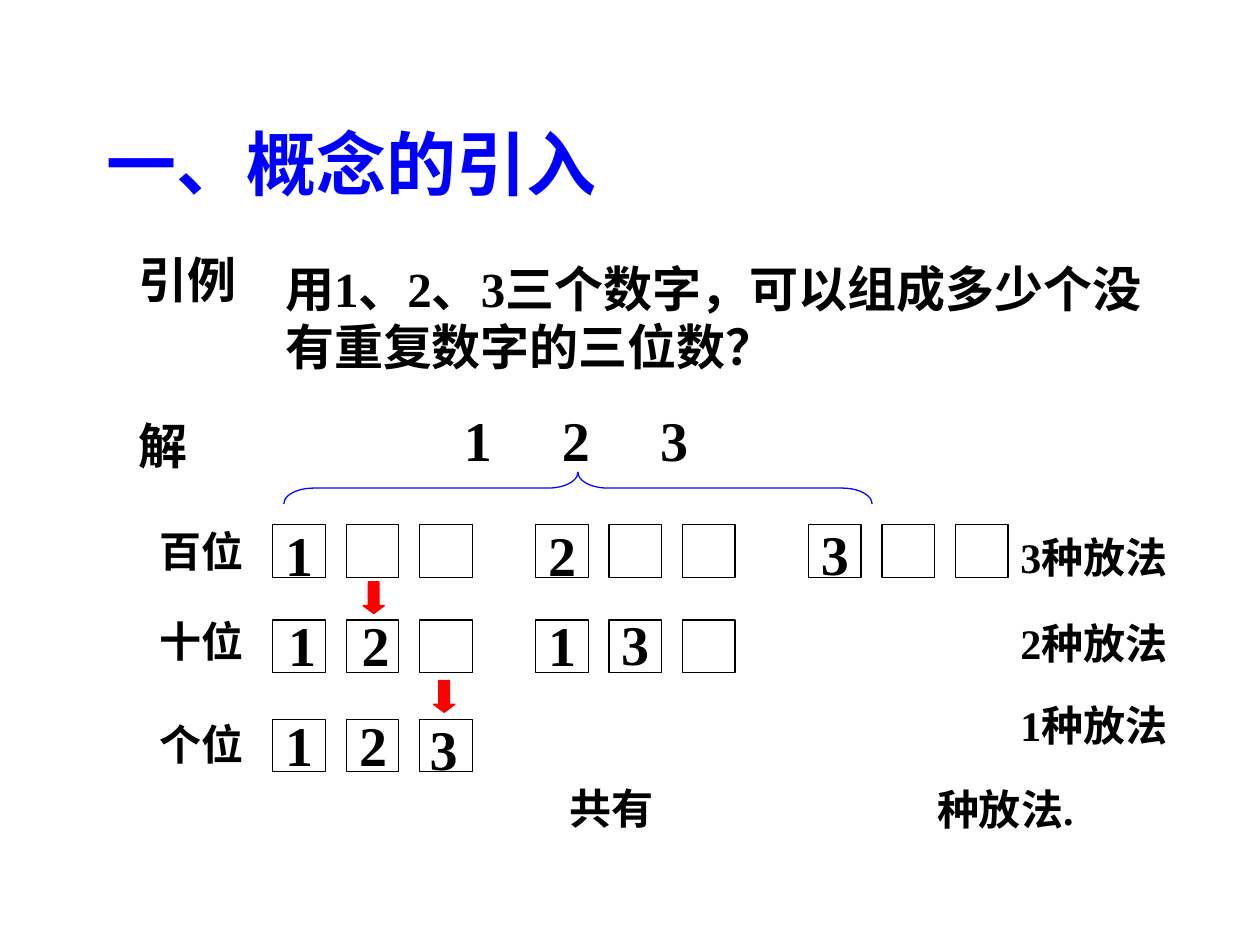
from lxml import etree
from pptx import Presentation
from pptx.dml.color import RGBColor
from pptx.enum.lang import MSO_LANGUAGE_ID
from pptx.enum.shapes import MSO_SHAPE
from pptx.enum.text import MSO_ANCHOR, MSO_AUTO_SIZE
from pptx.oxml.ns import qn
from pptx.util import Cm, Pt

RECTANGLE = MSO_SHAPE.RECTANGLE
DOWN_ARROW = MSO_SHAPE.DOWN_ARROW
LEFT_BRACE = MSO_SHAPE.LEFT_BRACE
MIDDLE, TOP = MSO_ANCHOR.MIDDLE, MSO_ANCHOR.TOP
GROW, FIXED = MSO_AUTO_SIZE.SHAPE_TO_FIT_TEXT, MSO_AUTO_SIZE.NONE
CHINESE = MSO_LANGUAGE_ID.SIMPLIFIED_CHINESE

BLACK, BLUE, BRACE_BLUE, RED = "000000", "0000FF", "0606FA", "FF0000"
FONT = {"name": "Times New Roman", "bold": True, "language_id": CHINESE}

TITLE = ("一、概念的引入", 1.9, 1.7, 21.59, 3.17)
TEXTS = [
    ("引例", 2.54, 4.9, 4.01, 1.45, 28),
    ("用1、2、3三个数字，可以组成多少个没有重复数字的三位数？", 5.5, 5.08, 17.98, 2.64, 28),
    ("解", 2.54, 8.26, 4.01, 1.45, 28),
    ("1\t2\t3", 9.1, 8.05, 6.78, 1.63, 32),
    ("共有", 11.23, 15.65, 4.45, 1.27, 24),
    ("种放法.", 18.64, 15.67, 4.45, 1.27, 24),
]
PLACES = [("百位", 10.46), ("十位", 12.29), ("个位", 14.35)]
COUNTS = [("3种放法", 10.58), ("2种放法", 12.32), ("1种放法", 13.97)]
DIGITS = [
    ("1", 5.5, 10.36), ("2", 10.8, 10.36), ("3", 16.3, 10.34),
    ("1", 5.56, 12.19), ("2", 7.04, 12.19), ("1", 10.8, 12.19), ("3", 12.27, 12.17),
    ("1", 5.5, 14.2), ("2", 6.99, 14.2), ("3", 8.41, 14.27),
]
GROUP_LEFTS = [5.5, 10.8, 16.3]
CELL_ROWS = [(10.58, 3), (12.5, 2), (14.5, 1)]
CELL_SIZE, CELL_STEP = 1.06, 1.48
ARROWS = [(7.32, 11.73), (8.74, 13.72)]
TAB_STEP = 1.98


def colour(value):
    return RGBColor.from_string(value)


def add_text(page, text, left, top, width, height, size, ink=BLACK, anchor=TOP, fit=GROW):
    box = page.shapes.add_textbox(Cm(left), Cm(top), Cm(width), Cm(height))
    frame = box.text_frame
    for key, value in {"word_wrap": True, "vertical_anchor": anchor, "auto_size": fit}.items():
        setattr(frame, key, value)
    para = frame.paragraphs[0]
    if "\t" in text:
        tabs = etree.SubElement(para._p.get_or_add_pPr(), qn("a:tabLst"))
        for index in range(text.count("\t")):
            position = str(Cm(TAB_STEP * (index + 1)))
            etree.SubElement(tabs, qn("a:tab"), pos=position, algn="l")
    span = para.add_run()
    span.text = text
    for key, value in {**FONT, "size": Pt(size)}.items():
        setattr(span.font, key, value)
    span.font.color.rgb = colour(ink)


def add_figure(shapes, kind, left, top, width, height, line, fill=None):
    shape = shapes.add_shape(kind, Cm(left), Cm(top), Cm(width), Cm(height))
    shape.shadow.inherit = False
    shape.line.color.rgb = colour(line)
    shape.line.width = Pt(0.75)
    if fill:
        shape.fill.solid()
        shape.fill.fore_color.rgb = colour(fill)
    else:
        shape.fill.background()
    return shape


def main():
    deck = Presentation()
    deck.slide_width, deck.slide_height = Cm(25.4), Cm(19.05)
    page = deck.slides.add_slide(deck.slide_layouts[6])

    add_text(page, *TITLE, 40, BLUE, MIDDLE, FIXED)

    for top, group_count in CELL_ROWS:
        for group_left in GROUP_LEFTS[:group_count]:
            group = page.shapes.add_group_shape()
            for column in range(3):
                left = group_left + column * CELL_STEP
                add_figure(group.shapes, RECTANGLE, left, top, CELL_SIZE, CELL_SIZE, BLACK)

    for item in TEXTS:
        add_text(page, *item)
    for text, top in PLACES:
        add_text(page, text, 2.97, top, 3.38, 1.27, 24)
    for text, top in COUNTS:
        add_text(page, text, 20.32, top, 4.45, 1.27, 24)
    for text, left, top in DIGITS:
        add_text(page, text, left, top, 1.27, 1.63, 32)

    brace = add_figure(page.shapes, LEFT_BRACE, 11.33, 3.91, 0.64, 11.86, BRACE_BLUE)
    brace.rotation = 90
    brace.adjustments[0] = 0.94

    for left, top in ARROWS:
        arrow = add_figure(page.shapes, DOWN_ARROW, left, top, 0.43, 0.64, RED, RED)
        arrow.adjustments[1] = 0.37

    deck.save("out.pptx")


if __name__ == "__main__":
    main()
